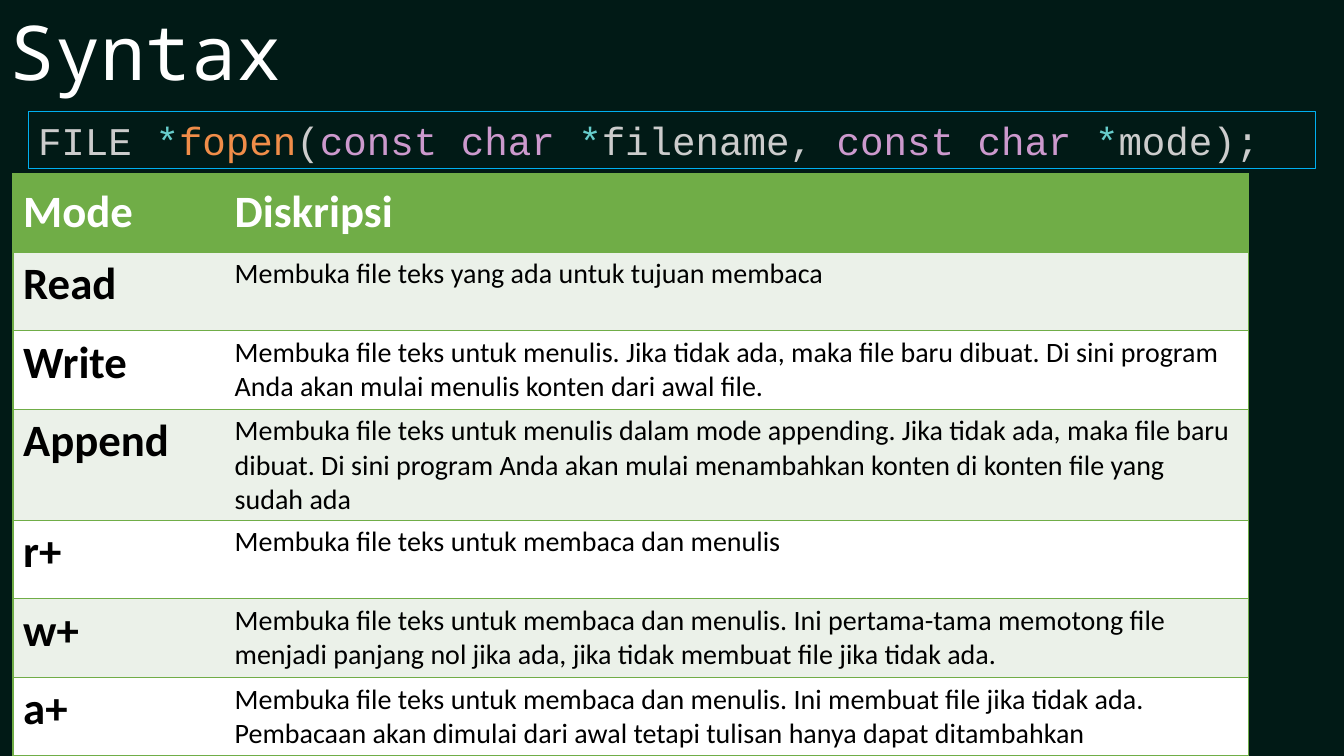
from lxml.etree import SubElement
from pptx import Presentation
from pptx.dml.color import RGBColor
from pptx.enum.shapes import MSO_SHAPE
from pptx.enum.text import MSO_ANCHOR, PP_ALIGN
from pptx.oxml.ns import qn
from pptx.util import Cm, Pt

BACKGROUND = RGBColor(0x01, 0x1A, 0x16)
WHITE = RGBColor(0xFF, 0xFF, 0xFF)
BLACK = RGBColor(0x00, 0x00, 0x00)
GREEN = RGBColor(0x70, 0xAD, 0x47)
PALE_GREEN = RGBColor(0xEB, 0xF1, 0xE9)
FRAME_BLUE = RGBColor(0x00, 0xB0, 0xF0)
CODE_GREY = RGBColor(0xCC, 0xCC, 0xCC)
OPERATOR_TEAL = RGBColor(0x67, 0xCD, 0xCC)
FUNCTION_ORANGE = RGBColor(0xF0, 0x8D, 0x49)
KEYWORD_PURPLE = RGBColor(0xCC, 0x99, 0xCD)

NO_STYLE = "{2D5ABB26-0587-4C30-8999-92F81FD0307C}"
MODE_WIDTH = 5.33

SIGNATURE = [
    ("FILE ", CODE_GREY),
    ("*", OPERATOR_TEAL),
    ("fopen", FUNCTION_ORANGE),
    ("(", CODE_GREY),
    ("const char ", KEYWORD_PURPLE),
    ("*", OPERATOR_TEAL),
    ("filename, ", CODE_GREY),
    ("const char ", KEYWORD_PURPLE),
    ("*", OPERATOR_TEAL),
    ("mode);", CODE_GREY),
]

MODES = [
    ("Mode", "Diskripsi"),
    ("Read", "Membuka file teks yang ada untuk tujuan membaca"),
    ("Write", "Membuka file teks untuk menulis. Jika tidak ada, maka file baru dibuat. "
              "Di sini program Anda akan mulai menulis konten dari awal file."),
    ("Append", "Membuka file teks untuk menulis dalam mode appending. Jika tidak ada, "
               "maka file baru dibuat. Di sini program Anda akan mulai menambahkan "
               "konten di konten file yang sudah ada"),
    ("r+", "Membuka file teks untuk membaca dan menulis"),
    ("w+", "Membuka file teks untuk membaca dan menulis. Ini pertama-tama memotong file "
           "menjadi panjang nol jika ada, jika tidak membuat file jika tidak ada."),
    ("a+", "Membuka file teks untuk membaca dan menulis. Ini membuat file jika tidak ada. "
           "Pembacaan akan dimulai dari awal tetapi tulisan hanya dapat ditambahkan"),
]


def add_span(para, text, color, **formats):
    span = para.add_run()
    span.text = text
    span.font.color.rgb = color
    for name, value in formats.items():
        setattr(span.font, name, value)


def add_title(page, box):
    title = page.shapes.add_textbox(*map(Cm, box))
    title.text_frame.word_wrap = True
    add_span(title.text_frame.paragraphs[0], "Syntax", WHITE,
             size=Pt(54), name="Noto Sans Mono")


def add_signature(page, box):
    frame = page.shapes.add_shape(MSO_SHAPE.RECTANGLE, *map(Cm, box))
    frame.shadow.inherit = False
    frame.fill.background()
    frame.line.color.rgb = FRAME_BLUE
    frame.line.width = Pt(0.75)
    frame.text_frame.word_wrap = True
    frame.text_frame.vertical_anchor = MSO_ANCHOR.TOP
    para = frame.text_frame.paragraphs[0]
    para.alignment = PP_ALIGN.LEFT
    for text, color in SIGNATURE:
        add_span(para, text, color, size=Pt(28), name="Courier New")


def add_borders(cell, sides):
    properties = cell._tc.get_or_add_tcPr()
    for side in sides:
        line = SubElement(properties, qn(f"a:ln{side}"), w=str(Pt(1)))
        fill = SubElement(line, qn("a:solidFill"))
        SubElement(fill, qn("a:srgbClr"), val=str(GREEN))


def add_modes(page, box):
    left, top, width, height = box
    table = page.shapes.add_table(len(MODES), 2, *map(Cm, box)).table
    table._tbl.tblPr.find(qn("a:tableStyleId")).text = NO_STYLE
    table.columns[0].width = Cm(MODE_WIDTH)
    table.columns[1].width = Cm(width - MODE_WIDTH)
    for row, texts in enumerate(MODES):
        table.rows[row].height = Cm(height / len(MODES))
        header = row == 0
        for column, text in enumerate(texts):
            cell = table.cell(row, column)
            add_borders(cell, ("LTB", "RTB")[column])
            cell.fill.solid()
            cell.fill.fore_color.rgb = GREEN if header else PALE_GREEN if row % 2 else WHITE
            cell.vertical_anchor = MSO_ANCHOR.MIDDLE if header else MSO_ANCHOR.TOP
            strong = header or column == 0
            add_span(cell.text_frame.paragraphs[0], text, WHITE if header else BLACK,
                     size=Pt(32 if strong else 20), bold=strong, name="Calibri")


def main():
    deck = Presentation()
    deck.slide_width, deck.slide_height = Cm(33.87), Cm(19.05)
    page = deck.slides.add_slide(deck.slide_layouts[6])
    page.background.fill.solid()
    page.background.fill.fore_color.rgb = BACKGROUND
    add_title(page, (0, 0, 27.1, 2.57))
    add_signature(page, (0.71, 2.81, 32.44, 1.45))
    add_modes(page, (0.33, 4.37, 31.14, 13.86))
    deck.save("out.pptx")


if __name__ == "__main__":
    main()
